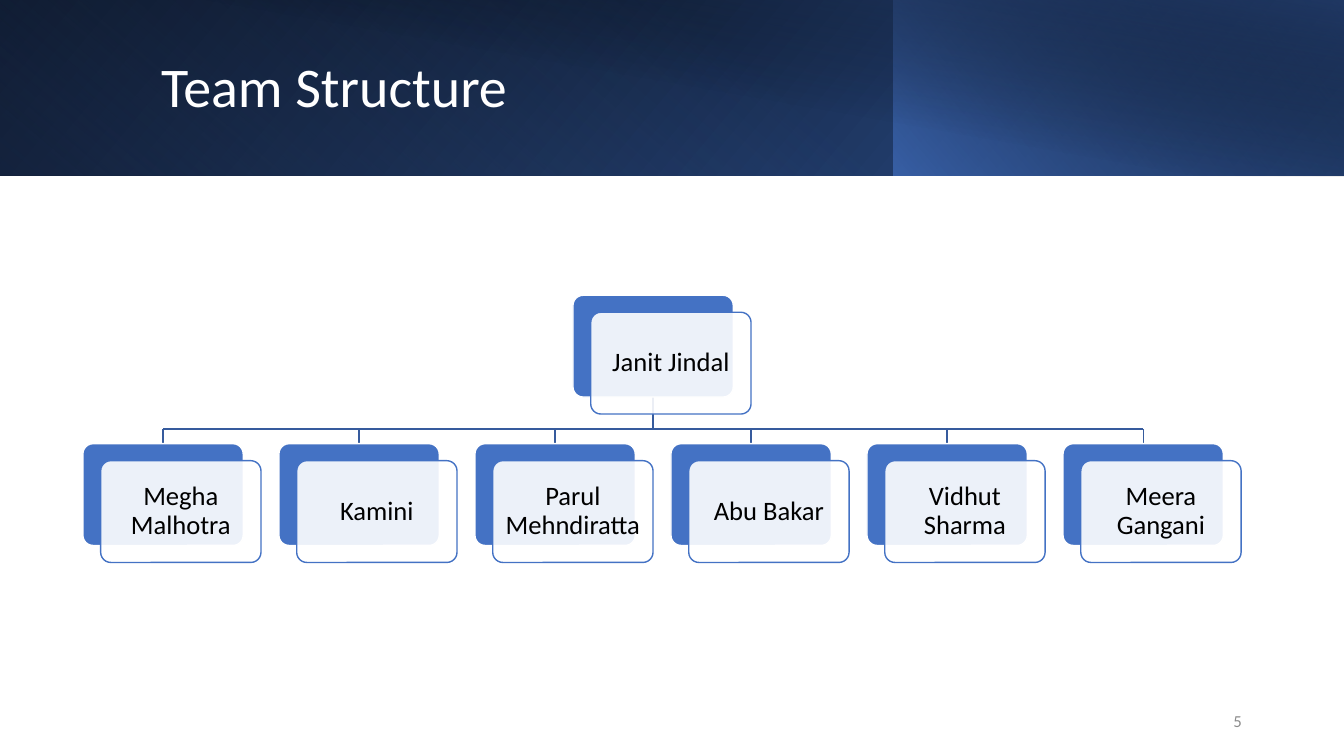
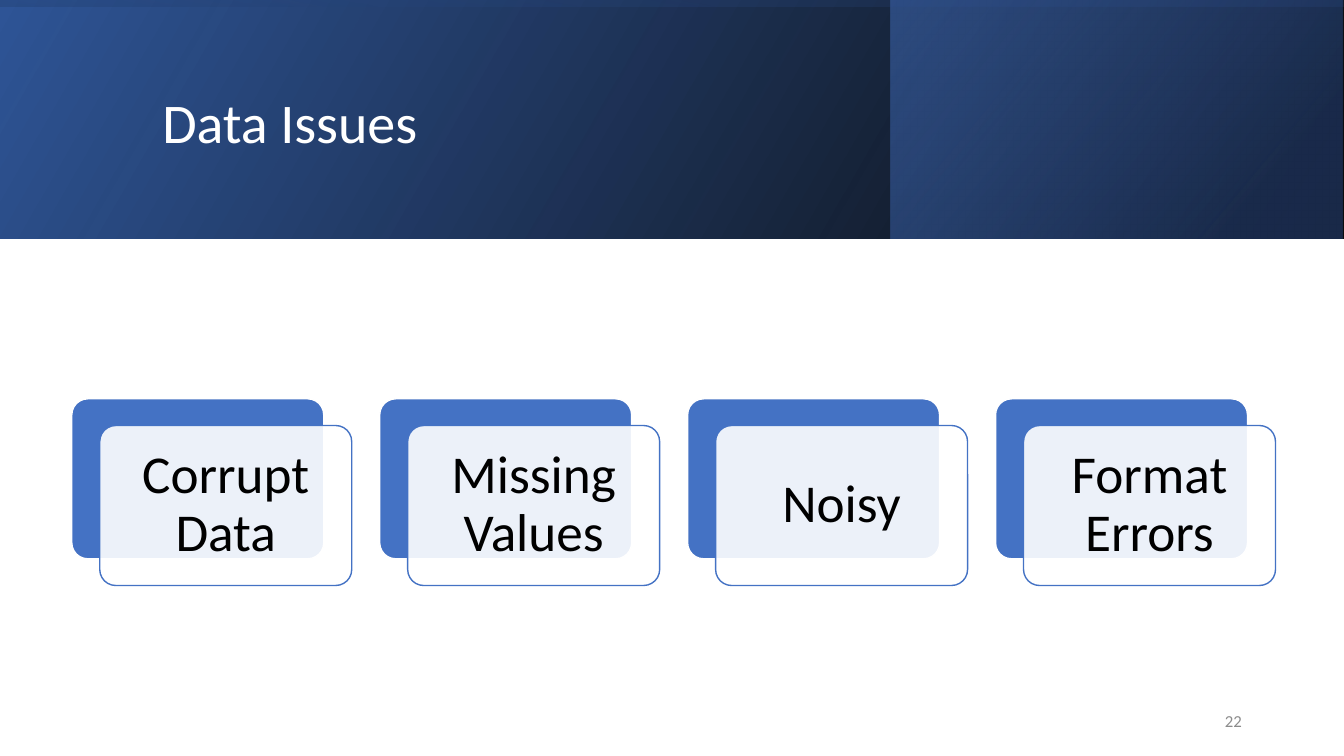
from lxml.etree import SubElement
from pptx import Presentation
from pptx.dml.color import RGBColor
from pptx.enum.shapes import MSO_CONNECTOR, MSO_SHAPE
from pptx.enum.text import MSO_ANCHOR, PP_ALIGN
from pptx.oxml.ns import qn
from pptx.util import Cm, Pt

PAGE_W, PAGE_H = 33.87, 19.05
FONT = "Calibri"
WHITE, BLACK, GREY = "FFFFFF", "000000", "8C8C8C"
BLUE, MID_BLUE, NAVY, LINE_BLUE = "4472C4", "2F5597", "203864", "365B9D"

# Card proportions, as shares of the card width
CARD_HEIGHT, SHIFT_X, SHIFT_Y = 0.635, 0.111, 0.106


def rgb(value):
    return RGBColor.from_string(value)


def write(tf, text, size=19, color=BLACK, align=PP_ALIGN.LEFT, spacing=0.9, inset=None):
    tf.word_wrap = True
    tf.vertical_anchor = MSO_ANCHOR.MIDDLE
    if inset is not None:
        tf.margin_left = tf.margin_right = tf.margin_top = tf.margin_bottom = Cm(inset)
    p = tf.paragraphs[0]
    p.alignment = align
    p.line_spacing = spacing
    r = p.add_run()
    r.text = text
    r.font.name = FONT
    r.font.size = Pt(size)
    r.font.color.rgb = rgb(color)


def set_alpha(sp, opacities):
    colors = sp._element.spPr.iter(qn("a:srgbClr"))
    for color, opacity in zip(colors, opacities):
        if opacity < 100:
            SubElement(color, qn("a:alpha")).set("val", str(opacity * 1000))


class Deck:
    def __init__(self):
        self.prs = Presentation()
        self.prs.slide_width, self.prs.slide_height = Cm(PAGE_W), Cm(PAGE_H)
        self.s = None

    def slide(self):
        self.s = self.prs.slides.add_slide(self.prs.slide_layouts[6])

    def shape(self, kind, x, y, w, h):
        sp = self.s.shapes.add_shape(kind, Cm(x), Cm(y), Cm(w), Cm(h))
        sp.shadow.inherit = False
        return sp

    def band(self, x, w, h, angle, stops, rotation=0, flip=True):
        """Gradient band at the top; stops are (position, colour, opacity)."""
        y = 0
        if rotation == 270:  # a quarter turn swaps the sides about the centre
            x, y, w, h = x + (w - h) / 2, (h - w) / 2, h, w
        sp = self.shape(MSO_SHAPE.RECTANGLE, x, y, w, h)
        sp.rotation = rotation
        if flip:
            sp._element.spPr.xfrm.set("flipH", "1")
        sp.line.fill.background()
        sp.fill.gradient()
        sp.fill.gradient_angle = 360 - angle
        for stop, (position, color, _) in zip(sp.fill.gradient_stops, stops):
            stop.position = position / 100
            stop.color.rgb = rgb(color)
        set_alpha(sp, [opacity for _, _, opacity in stops])

    def text(self, text, x, y, w, h, **style):
        box = self.s.shapes.add_textbox(Cm(x), Cm(y), Cm(w), Cm(h))
        write(box.text_frame, text, **style)

    def title(self, text, x, y, w, h):
        self.text(text, x, y, w, h, size=40, color=WHITE)

    def number(self, text):
        self.text(text, 23.93, 17.65, 7.62, 1.02, size=12, color=GREY,
                  align=PP_ALIGN.RIGHT, spacing=1.0)

    def line(self, x1, y1, x2, y2):
        c = self.s.shapes.add_connector(MSO_CONNECTOR.STRAIGHT, Cm(x1), Cm(y1), Cm(x2), Cm(y2))
        c.line.color.rgb = rgb(LINE_BLUE)
        c.line.width = Pt(1)
        SubElement(c._element.spPr, qn("a:effectLst"))

    def card(self, text, x, y, w, size):
        """Blue card with a translucent, outlined text card shifted over it."""
        back = (x, y, BLUE, WHITE)
        front = (x + w * SHIFT_X, y + w * SHIFT_Y, WHITE, BLUE)
        for left, top, fill, outline in (back, front):
            sp = self.shape(MSO_SHAPE.ROUNDED_RECTANGLE, left, top, w, w * CARD_HEIGHT)
            sp.adjustments[0] = 0.1
            sp.fill.solid()
            sp.fill.fore_color.rgb = rgb(fill)
            sp.line.color.rgb = rgb(outline)
            sp.line.width = Pt(1)
        set_alpha(sp, [90])
        write(sp.text_frame, text, size=size, align=PP_ALIGN.CENTER, inset=size * 0.01)


def team_slide(deck):
    deck.slide()

    # Header
    height = 4.42
    deck.band(0, PAGE_W, height, 140, [(0, BLACK, 100), (100, MID_BLUE, 100)])
    deck.band(0, 22.56, height, 230, [(20, BLUE, 0), (100, NAVY, 55)], rotation=180)
    deck.band(22.53, 11.34, height, 220, [(0, BLUE, 66), (100, BLACK, 30)])
    deck.band(1.27, 32.6, 4.45, 280, [(50, BLACK, 0), (99, NAVY, 52)], flip=False)
    deck.title("Team Structure", 3.81, 0.81, 27.48, 2.87)

    # Organisation chart
    members = ["Megha Malhotra", "Kamini", "Parul Mehndiratta",
               "Abu Bakar", "Vidhut Sharma", "Meera Gangani"]
    w, pitch, lead_y, bar_y, row_y = 4.04, 4.94, 7.44, 10.81, 11.18
    lefts = [2.09 + i * pitch for i in range(len(members))]
    centers = [left + w / 2 for left in lefts]
    lead_x = (lefts[0] + lefts[-1]) / 2
    deck.line(lead_x + w / 2, lead_y + w * CARD_HEIGHT, lead_x + w / 2, bar_y)
    deck.line(centers[0], bar_y, centers[-1], bar_y)
    for center in centers:
        deck.line(center, bar_y, center, row_y)
    deck.card("Janit Jindal", lead_x, lead_y, w, 19)
    for name, left in zip(members, lefts):
        deck.card(name, left, row_y, w, 19)

    deck.number("5")


def issues_slide(deck):
    deck.slide()

    # Header
    height = 6.02
    deck.band(0, PAGE_W, height, 330, [(0, BLACK, 96), (100, MID_BLUE, 100)])
    deck.band(22.45, 11.38, height, 320, [(19, NAVY, 68), (100, BLUE, 48)])
    deck.band(0, PAGE_W, height, 350, [(23, MID_BLUE, 16), (99, BLACK, 45)], rotation=270)
    deck.title("Data Issues", 3.84, 0.97, 27, 4.37)

    # Row of issues
    for i, issue in enumerate(["Corrupt Data", "Missing Values", "Noisy", "Format Errors"]):
        deck.card(issue, 1.81 + i * 7.76, 10.05, 6.35, 38)

    deck.number("22")


def main():
    deck = Deck()
    team_slide(deck)
    issues_slide(deck)
    deck.prs.save("out.pptx")


if __name__ == "__main__":
    main()
